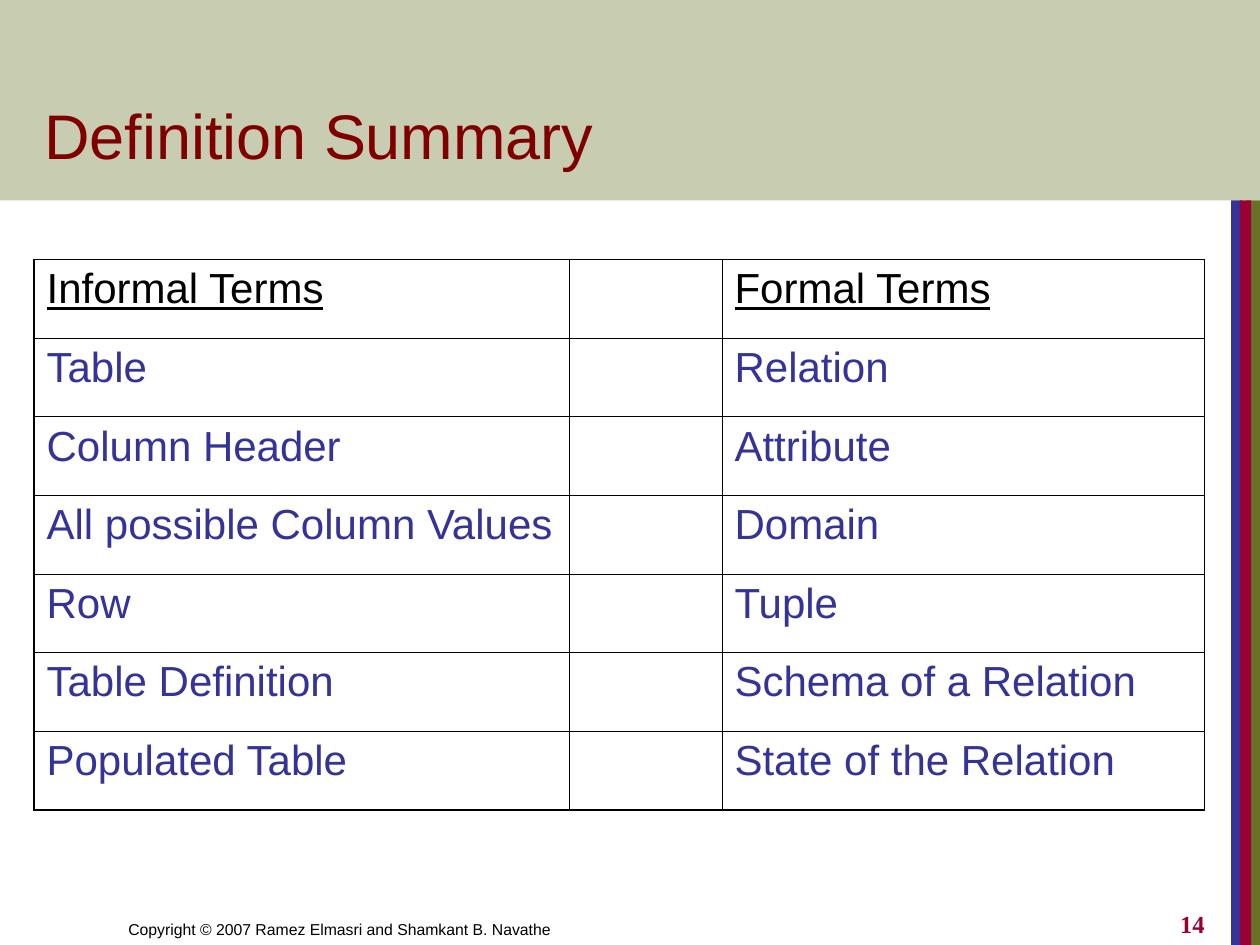
import pptx
import pptx.util
import pptx.dml.color
import pptx.enum.shapes
import pptx.enum.text
import pptx.oxml
import pptx.oxml.ns
import lxml.etree

Inches = pptx.util.Inches
Pt = pptx.util.Pt
ANCHOR = pptx.enum.text.MSO_ANCHOR
ALIGN = pptx.enum.text.PP_ALIGN

TERMS = [
    ("Informal Terms", "", "Formal Terms"),
    ("Table", "", "Relation"),
    ("Column Header", "", "Attribute"),
    ("All possible Column Values", "", "Domain"),
    ("Row", "", "Tuple"),
    ("Table Definition", "", "Schema of a Relation"),
    ("Populated Table", "", "State of the Relation"),
]
COLUMN_WIDTHS = (4.25, 1.21, 3.83)
INNER_LINE, OUTER_LINE = 0.45, 1.08


def rgb(color):
    """Return the colour for a hex string."""
    return pptx.dml.color.RGBColor.from_string(color)


def format_text(frame, size, color, font="Arial", bold=False, underline=False, align=ALIGN.LEFT):
    """Format the only paragraph of a text frame."""
    paragraph = frame.paragraphs[0]
    paragraph.alignment = align
    for run in paragraph.runs:
        run.font.name = font
        run.font.size = Pt(size)
        run.font.bold = bold
        run.font.underline = underline
        run.font.color.rgb = rgb(color)


def add_panel(slide, left, top, width, height, color, opacity=100):
    """Add a borderless rectangle of one colour."""
    panel = slide.shapes.add_shape(
        pptx.enum.shapes.MSO_SHAPE.RECTANGLE,
        Inches(left), Inches(top), Inches(width), Inches(height))
    panel.shadow.inherit = False
    panel.fill.solid()
    panel.fill.fore_color.rgb = rgb(color)
    panel.line.fill.background()
    if opacity < 100:
        color_element = panel.element.spPr.find(".//" + pptx.oxml.ns.qn("a:srgbClr"))
        alpha = lxml.etree.SubElement(color_element, pptx.oxml.ns.qn("a:alpha"))
        alpha.set("val", str(opacity * 1000))


def add_backdrop(slide, width, height, band_height):
    """Draw the title band and the stripes on the right edge below it."""
    stripes = ((0.11, 0.11, "677228"), (0.23, 0.09, "333399"), (0.16, 0.09, "990033"))
    for inset, stripe_width, color in stripes:
        add_panel(slide, width - inset, band_height, stripe_width, height - band_height, color)
    add_panel(slide, 0, 0, width, band_height, "677228", opacity=36)


def place_title(slide, left, top, width, height):
    """Move the title placeholder above the backdrop and fill it."""
    title = slide.shapes.title
    title.element.getparent().append(title.element)
    title.left, title.top = Inches(left), Inches(top)
    title.width, title.height = Inches(width), Inches(height)
    title.text_frame.text = "Definition Summary"
    title.text_frame.vertical_anchor = ANCHOR.BOTTOM
    format_text(title.text_frame, 36, "800000")


def set_borders(cell, widths):
    """Give a cell black left, right, top and bottom borders in points."""
    properties = cell._tc.get_or_add_tcPr()
    for index, (side, width) in enumerate(zip("LRTB", widths)):
        border = pptx.oxml.parse_xml(
            f'<a:ln{side} {pptx.oxml.ns.nsdecls("a")} w="{Pt(width)}">'
            f'<a:solidFill><a:srgbClr val="000000"/></a:solidFill></a:ln{side}>')
        properties.insert(index, border)


def add_terms_table(slide, left, top, width, height):
    """Add the grid that pairs informal with formal terms."""
    last_row, last_column = len(TERMS) - 1, len(COLUMN_WIDTHS) - 1
    table = slide.shapes.add_table(
        len(TERMS), len(COLUMN_WIDTHS),
        Inches(left), Inches(top), Inches(width), Inches(height)).table
    table.first_row = False
    table.horz_banding = False
    for column, column_width in zip(table.columns, COLUMN_WIDTHS):
        column.width = Inches(column_width)
    for row, terms in enumerate(TERMS):
        for column, term in enumerate(terms):
            cell = table.cell(row, column)
            cell.fill.background()
            edges = (column == 0, column == last_column, row == 0, row == last_row)
            set_borders(cell, [OUTER_LINE if edge else INNER_LINE for edge in edges])
            if term:
                cell.text_frame.text = term
                cell.text_frame.paragraphs[0].space_before = Pt(6)
                header = row == 0
                format_text(cell.text_frame, 24, "000000" if header else "333399",
                            underline=header)


def add_footer_text(slide, left, top, width, height, text, size, color, **style):
    """Add one bottom-anchored footer text."""
    footer = slide.shapes.add_textbox(Inches(left), Inches(top), Inches(width), Inches(height))
    footer.text_frame.word_wrap = True
    footer.text_frame.vertical_anchor = ANCHOR.BOTTOM
    footer.text_frame.text = text
    format_text(footer.text_frame, size, color, **style)


def main():
    """Build the slide and save it."""
    presentation = pptx.Presentation()
    presentation.slide_width, presentation.slide_height = Inches(10), Inches(7.5)
    slide = presentation.slides.add_slide(presentation.slide_layouts.get_by_name("Title Only"))
    add_backdrop(slide, 10, 7.5, 1.59)
    add_footer_text(slide, 0.92, 7, 4.92, 0.5,
                    "Copyright © 2007 Ramez Elmasri and Shamkant B. Navathe", 9, "000000")
    place_title(slide, 0.25, 0.33, 8.53, 1.09)
    add_terms_table(slide, 0.27, 2.06, sum(COLUMN_WIDTHS), 4.37)
    add_footer_text(slide, 7.58, 7, 2.08, 0.5, "14", 14, "990033",
                    font="Times New Roman", bold=True, align=ALIGN.RIGHT)
    presentation.save("out.pptx")


if __name__ == "__main__":
    main()
